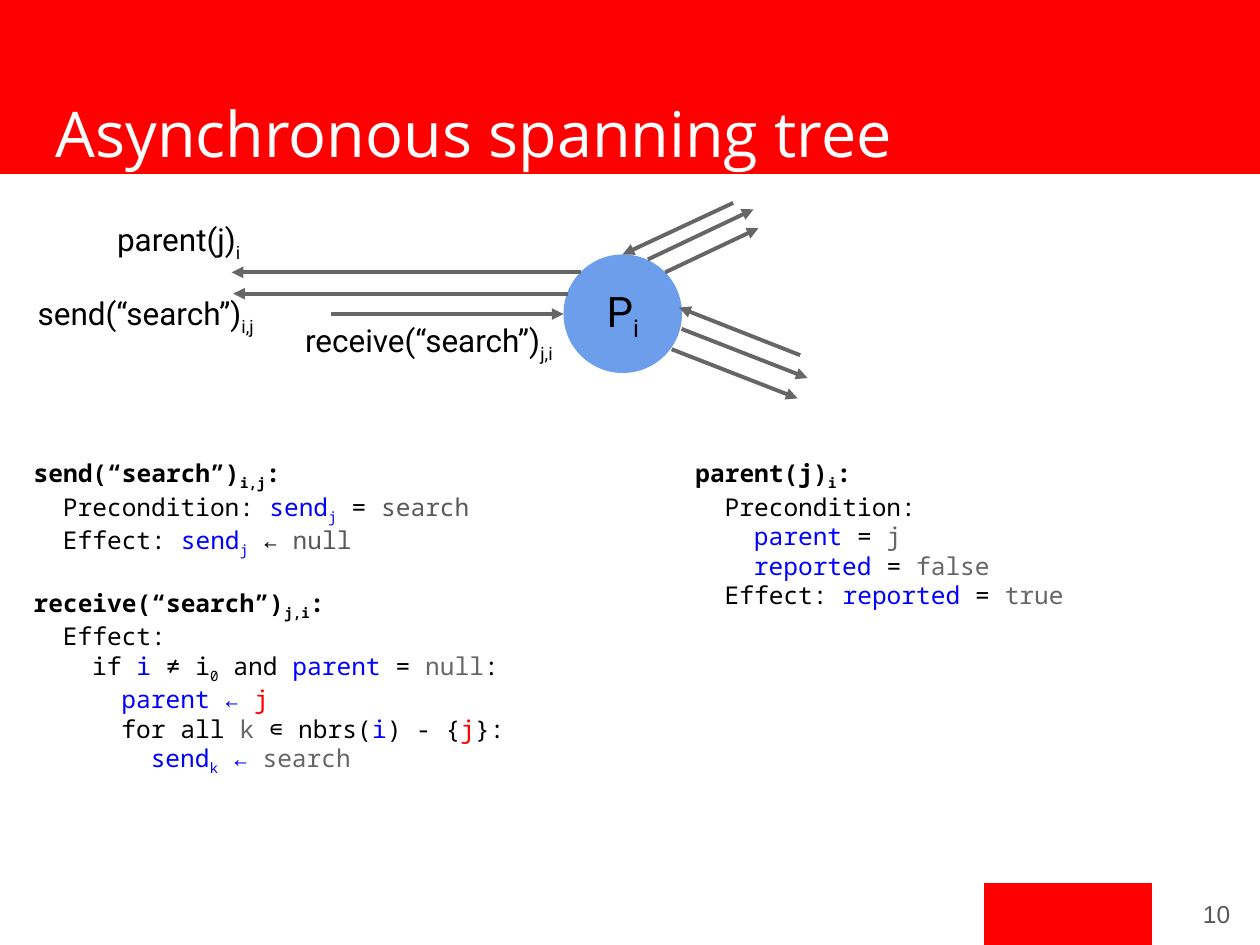
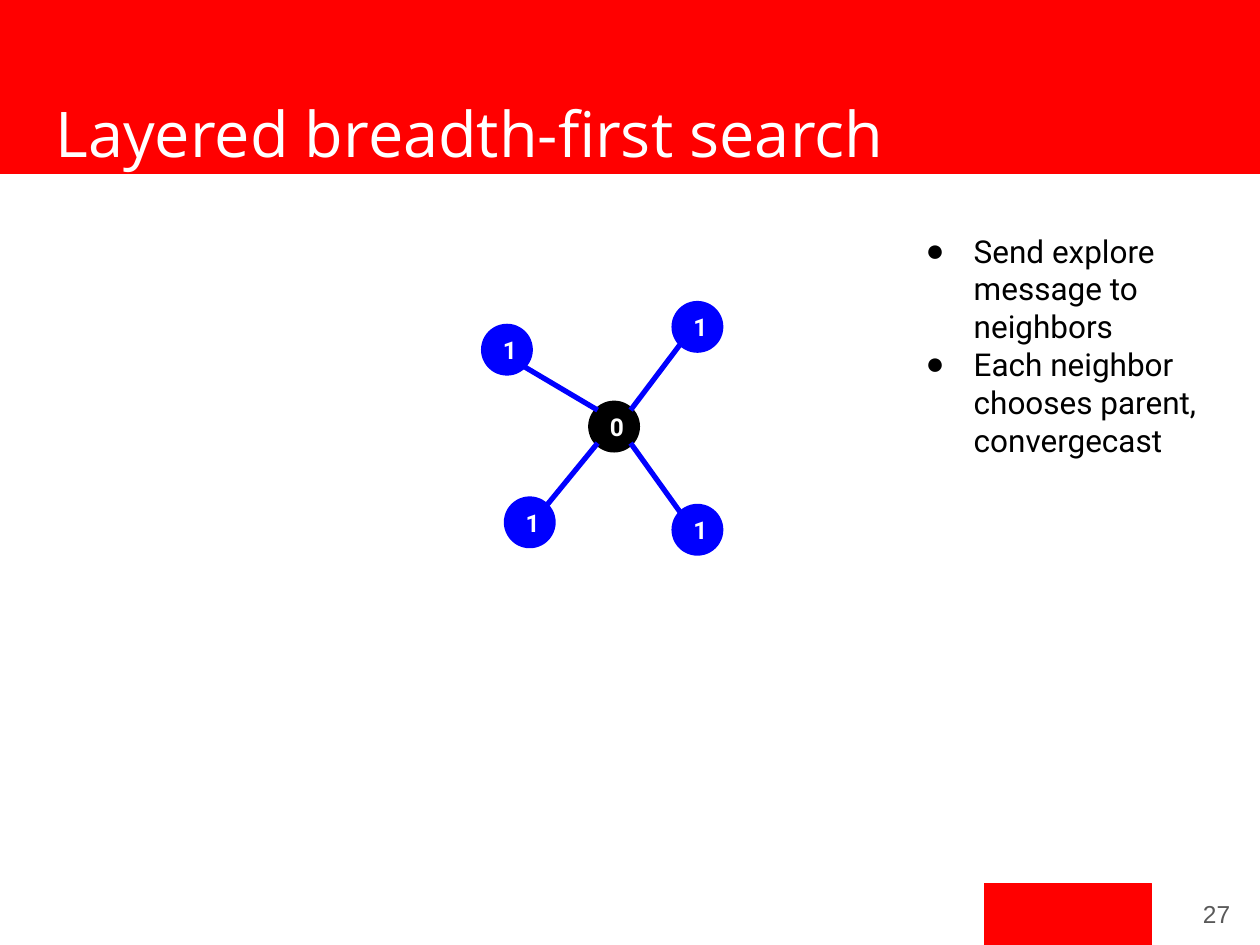
from dataclasses import dataclass
from math import copysign, sqrt
from typing import NamedTuple

from lxml import etree
from pptx import Presentation
from pptx import util as u
from pptx.dml.color import RGBColor
from pptx.enum import shapes, text
from pptx.oxml.ns import qn

RED, BLUE, SKY = "FF0000", "0000FF", "6D9EEB"
BLACK, WHITE, GRAY, DARK = "000000", "FFFFFF", "666666", "595959"
SANS, MONO, HEAD, PLAIN = "Roboto", "Noto Sans Mono", "Open Sans", "Arial"
PAD, STEP, NODE = 0.25, 0.59, 0.94
LEFT, MID, RIGHT = text.PP_ALIGN.LEFT, text.PP_ALIGN.CENTER, text.PP_ALIGN.RIGHT


class Bit(NamedTuple):
    words: str
    tint: str = ""
    sub: str = ""


class Row(NamedTuple):
    bits: list[Bit]
    level: int = 0
    bold: bool = False
    gap: float = 0


class Box(NamedTuple):
    x: float
    y: float
    w: float
    h: float


@dataclass(frozen=True)
class Line:
    x1: float
    y1: float
    x2: float
    y2: float
    tint: str = GRAY
    width: float = 2.25
    head: bool = True


@dataclass(frozen=True)
class Node:
    x: float
    y: float
    mark: str
    tint: str


@dataclass(frozen=True)
class Label:
    box: Box
    bit: Bit


def color(code: str) -> RGBColor:
    return RGBColor.from_string(code)


def add_run(para, words: str, font: str, size: float, tint: str, bold: bool, low: bool = False) -> None:
    run = para.add_run()
    run.text = words
    run.font.name, run.font.size, run.font.bold = font, u.Pt(size), bold
    run.font.color.rgb = color(tint)
    props = run._r.get_or_add_rPr()
    for tag in ("a:ea", "a:cs"):
        etree.SubElement(props, qn(tag), typeface=font)
    if low:
        props.set("baseline", "-25000")


def add_dot(para) -> None:
    props = para._p.get_or_add_pPr()
    props.set("marL", str(u.Cm(1.27)))
    props.set("indent", str(-u.Cm(0.97)))
    tone = etree.SubElement(props, qn("a:buClr"))
    etree.SubElement(tone, qn("a:srgbClr"), val=BLACK)
    etree.SubElement(props, qn("a:buFont"), typeface=PLAIN)
    etree.SubElement(props, qn("a:buChar"), char="●")


def write(shape, rows: list[Row] | str, *, font: str = SANS, size: float = 18, tint: str = BLACK,
          bold: bool = False, align=LEFT, middle: bool = False, dots: bool = False) -> None:
    frame = shape.text_frame
    frame.word_wrap = True
    frame.margin_left = frame.margin_right = frame.margin_top = frame.margin_bottom = u.Cm(PAD)
    frame.vertical_anchor = text.MSO_ANCHOR.MIDDLE if middle else text.MSO_ANCHOR.TOP
    if isinstance(rows, str):
        rows = [Row([Bit(rows)])]
    for i, row in enumerate(rows):
        para = frame.add_paragraph() if i else frame.paragraphs[0]
        para.alignment = align
        if row.gap:
            para.space_before = u.Pt(row.gap)
        if row.level:
            para._p.get_or_add_pPr().set("marL", str(u.Cm(row.level * STEP)))
        if dots:
            add_dot(para)
        for bit in row.bits:
            tone, thick = bit.tint or tint, bold or row.bold
            add_run(para, bit.words, font, size, tone, thick)
            if bit.sub:
                add_run(para, bit.sub, font, size, tone, thick, True)


def add_text(slide, box: Box, rows: list[Row] | str, **form) -> None:
    write(slide.shapes.add_textbox(*map(u.Cm, box)), rows, **form)


def add_form(slide, kind, box: Box, fill: str, edge: float = 0):
    shape = slide.shapes.add_shape(kind, *map(u.Cm, box))
    shape.shadow.inherit = False
    shape.fill.solid()
    shape.fill.fore_color.rgb = color(fill)
    if edge:
        shape.line.color.rgb = color(fill)
        shape.line.width = u.Pt(edge)
    else:
        shape.line.fill.background()
    return shape


def add_line(slide, line: Line) -> None:
    ends = map(u.Cm, (line.x1, line.y1, line.x2, line.y2))
    link = slide.shapes.add_connector(shapes.MSO_CONNECTOR.STRAIGHT, *ends)
    link.line.color.rgb = color(line.tint)
    link.line.width = u.Pt(line.width)
    if line.head:
        etree.SubElement(link.line._get_or_add_ln(), qn("a:tailEnd"), type="triangle")
    etree.SubElement(link._element.spPr, qn("a:effectLst"))


def add_node(slide, node: Node) -> None:
    box = Box(node.x - NODE / 2, node.y - NODE / 2, NODE, NODE)
    disc = add_form(slide, shapes.MSO_SHAPE.OVAL, box, node.tint, 3)
    write(disc, node.mark, size=14, tint=WHITE, bold=True, align=MID, middle=True)


def join(hub: Node, leaf: Node) -> Line:
    reach = NODE / 2 / sqrt(2)
    dx = copysign(reach, leaf.x - hub.x)
    dy = copysign(reach, leaf.y - hub.y)
    return Line(hub.x + dx, hub.y + dy, leaf.x - dx, leaf.y - dy, BLUE, 3, False)


def start(deck, title: str, page: int):
    slide = deck.slides.add_slide(deck.slide_layouts[6])
    for band in (Box(0, 0, 25.4, 3.5), Box(19.85, 17.81, 3.36, 1.24)):
        add_form(slide, shapes.MSO_SHAPE.RECTANGLE, band, RED, 0.75)
    add_text(slide, Box(0.87, 1.65, 23.67, 2.1), title, font=HEAD, size=36, tint=WHITE)
    add_text(slide, Box(23.53, 17.7, 1.52, 1.45), str(page), font=PLAIN, size=14,
             tint=DARK, align=RIGHT, middle=True)
    return slide


ARROWS = [
    Line(11.71, 5.49, 4.67, 5.49),
    Line(6.68, 6.33, 11.36, 6.33),
    Line(11.46, 5.92, 4.7, 5.92),
    Line(13.06, 5.23, 15.19, 4.22),
    Line(14.78, 4.09, 12.55, 5.13),
    Line(13.74, 6.63, 16.28, 7.62),
    Line(16.13, 7.16, 13.69, 6.2),
    Line(13.54, 7.04, 16.08, 8.03),
    Line(13.41, 5.49, 15.29, 4.6),
]
LABELS = [
    Label(Box(5.9, 6.22, 5.66, 1.19), Bit("receive(“search”)", sub="j,i")),
    Label(Box(2.11, 4.18, 3.73, 1.19), Bit("parent(j)", sub="i")),
    Label(Box(0.51, 5.68, 5.36, 1.19), Bit("send(“search”)", sub="i,j")),
]
SEND = [
    Row([Bit("send(“search”)", sub="i,j"), Bit(":")], bold=True),
    Row([Bit("Precondition: "), Bit("send", BLUE, "j"), Bit(" = "), Bit("search", DARK)], 1),
    Row([Bit("Effect: "), Bit("send", BLUE, "j"), Bit(" ← "), Bit("null", DARK)], 1),
    Row([Bit("receive(“search”)", sub="j,i"), Bit(":")], bold=True, gap=16.8),
    Row([Bit("Effect:")], 1),
    Row([Bit("if "), Bit("i", BLUE), Bit(" ≠ i", sub="0"), Bit(" and "), Bit("parent", BLUE),
         Bit(" = "), Bit("null", GRAY), Bit(":")], 2),
    Row([Bit("parent ← ", BLUE), Bit("j", RED)], 3),
    Row([Bit("for all "), Bit("k", GRAY), Bit(" ∊ nbrs("), Bit("i", BLUE), Bit(") - {"),
         Bit("j", RED), Bit("}:")], 3),
    Row([Bit("send", BLUE, "k"), Bit(" ← ", BLUE), Bit("search", GRAY)], 4),
]
PARENT = [
    Row([Bit("parent(j)", sub="i"), Bit(":")], bold=True),
    Row([Bit("Precondition:")], 1),
    Row([Bit("parent", BLUE), Bit(" = "), Bit("j", GRAY)], 2),
    Row([Bit("reported", BLUE), Bit(" = "), Bit("false", GRAY)], 2),
    Row([Bit("Effect: "), Bit("reported", BLUE), Bit(" = "), Bit("true", GRAY)], 1),
]
HUB = Node(12.38, 8.6, "0", BLACK)
LEAVES = [Node(x, y, "1", BLUE)
          for x, y in ((10.22, 7.05), (14.06, 6.59), (10.68, 10.53), (14.06, 10.68))]
NOTES = [
    Row([Bit("Send explore message to neighbors")]),
    Row([Bit("Each neighbor chooses parent, convergecast")]),
]


def span_tree(deck) -> None:
    slide = start(deck, "Asynchronous spanning tree", 10)
    disc = add_form(slide, shapes.MSO_SHAPE.OVAL, Box(11.36, 5.13, 2.39, 2.39), SKY)
    write(disc, [Row([Bit("P", sub="i")])], size=24, align=MID, middle=True)
    for arrow in ARROWS:
        add_line(slide, arrow)
    for label in LABELS:
        add_text(slide, label.box, [Row([label.bit])])
    for x, code in ((0.43, SEND), (13.77, PARENT)):
        add_text(slide, Box(x, 8.99, 10.69, 8.46), code, font=MONO, size=14)


def layer_search(deck) -> None:
    slide = start(deck, "Layered breadth-first search", 27)
    add_node(slide, HUB)
    for leaf in LEAVES:
        add_line(slide, join(HUB, leaf))
        add_node(slide, leaf)
    add_text(slide, Box(18.11, 4.42, 6.6, 12.6), NOTES, dots=True)


def main() -> None:
    deck = Presentation()
    deck.slide_width, deck.slide_height = u.Cm(25.4), u.Cm(19.05)
    span_tree(deck)
    layer_search(deck)
    deck.save("out.pptx")


if __name__ == "__main__":
    main()
